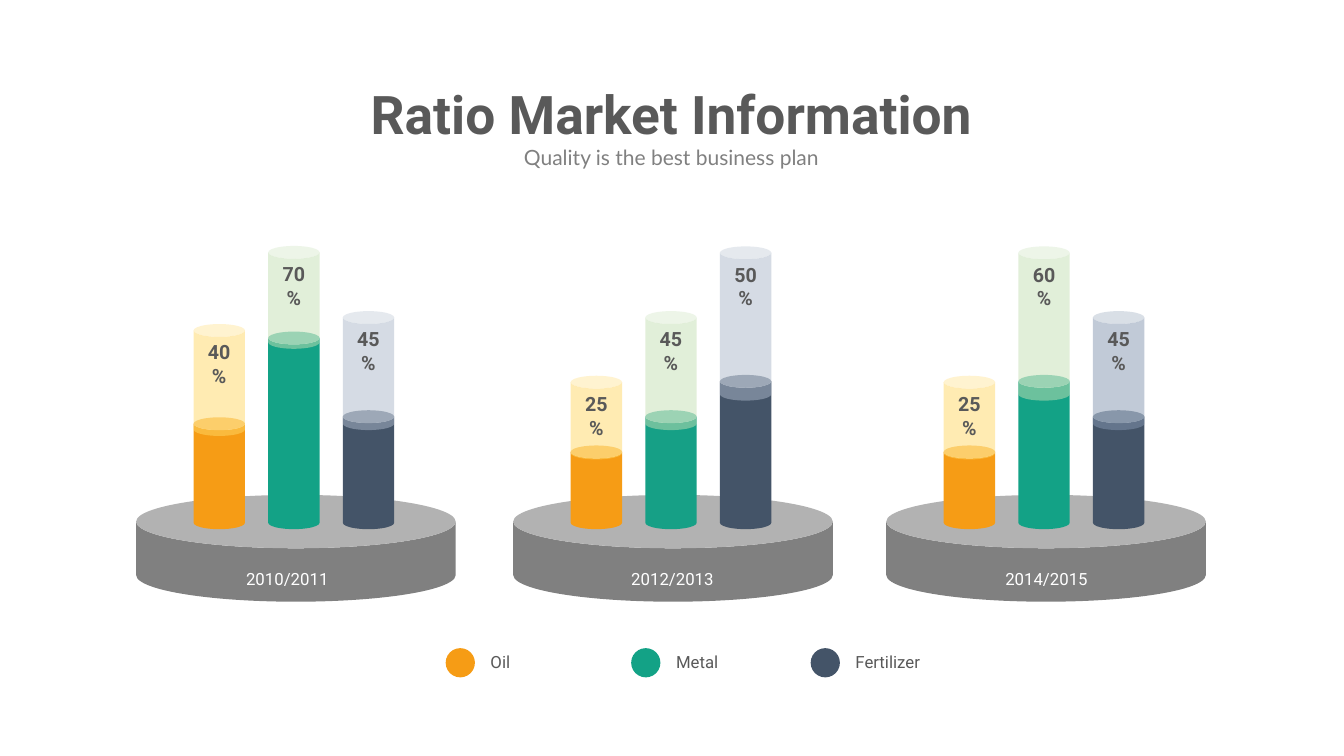
import dataclasses

import lxml.etree
import pptx
import pptx.dml.color
import pptx.enum.shapes
import pptx.enum.text
import pptx.oxml.ns
import pptx.util

SHAPE = pptx.enum.shapes.MSO_SHAPE
ALIGN = pptx.enum.text.PP_ALIGN
ANCHOR = pptx.enum.text.MSO_ANCHOR

COLUMNS, ROWS = 133.3, 75  # grid cells of a tenth of an inch
CELL = pptx.util.Inches(0.1)


@dataclasses.dataclass(frozen=True)
class Theme:
    heading_font: str = "Roboto"
    subtitle_font: str = "Lato"
    title_size: int = 38
    subtitle_size: int = 15
    percent_size: int = 14
    label_size: int = 12
    text: str = "595959"
    muted: str = "808080"
    white: str = "FFFFFF"
    oil: str = "F69C15"
    metal: str = "13A286"
    metal_variant: str = "16A086"
    fertilizer: str = "445468"
    oil_glass: str = "FFD966"
    metal_glass: str = "C5E0B4"
    fertilizer_glass: str = "ADB9CA"
    fertilizer_glass_dark: str = "8497B0"
    glass_opacity: int = 50


THEME = Theme()


@dataclasses.dataclass(frozen=True)
class Box:
    left: float
    top: float
    width: float
    height: float

    def inner(self, left, top, width, height):
        """Box placed relative to this box's top left corner."""
        return Box(self.left + left, self.top + top, width, height)

    def lengths(self):
        return [round(cells * CELL) for cells in (self.left, self.top, self.width, self.height)]


@dataclasses.dataclass(frozen=True)
class Pillar:
    percent: str
    solid_height: float
    glass_height: float
    color: str
    glass_color: str


@dataclasses.dataclass(frozen=True)
class Market:
    years: str
    left: float
    label_left: float
    pillars: tuple


def oil(percent, solid, glass):
    return Pillar(percent, solid, glass, THEME.oil, THEME.oil_glass)


def metal(percent, solid, glass, color=THEME.metal):
    return Pillar(percent, solid, glass, color, THEME.metal_glass)


def fertilizer(percent, solid, glass, glass_color=THEME.fertilizer_glass):
    return Pillar(percent, solid, glass, THEME.fertilizer, glass_color)


MARKETS = (
    Market("2010/2011", 13.5, 5.7, (
        oil("40%", 11.1, 11.1), metal("70%", 19.6, 10.2), fertilizer("45%", 11.8, 11.8))),
    Market("2012/2013", 50.9, 6.5, (
        oil("25%", 8.3, 8.3), metal("45%", 11.8, 11.8, THEME.metal_variant),
        fertilizer("50%", 15.3, 15.3))),
    Market("2014/2015", 87.9, 6.6, (
        oil("25%", 8.3, 8.3), metal("60%", 15.3, 15.3),
        fertilizer("45%", 11.8, 11.8, THEME.fertilizer_glass_dark))),
)
LEGEND = (
    ("Oil", 0, THEME.oil),
    ("Metal", 18.4, THEME.metal),
    ("Fertilizer", 36.2, THEME.fertilizer),
)


def write_text(shape, text, size, color=THEME.text, font=THEME.heading_font, bold=False,
               align=ALIGN.CENTER, anchor=ANCHOR.TOP, line_spacing=1.0, margins=(0.1, 0.05)):
    """Fill a shape with one paragraph; margins are horizontal and vertical inches."""
    frame = shape.text_frame
    frame.word_wrap = True
    frame.auto_size = pptx.enum.text.MSO_AUTO_SIZE.NONE
    frame.vertical_anchor = anchor
    frame.margin_left = frame.margin_right = pptx.util.Inches(margins[0])
    frame.margin_top = frame.margin_bottom = pptx.util.Inches(margins[1])
    paragraph = frame.paragraphs[0]
    paragraph.alignment = align
    paragraph.line_spacing = line_spacing
    paragraph.space_before = pptx.util.Pt(0)
    run = paragraph.add_run()
    run.text = text
    run.font.name = font
    run.font.size = pptx.util.Pt(size)
    run.font.bold = bold
    run.font.color.rgb = pptx.dml.color.RGBColor.from_string(color)


def add_text(slide, box, text, size, **text_format):
    write_text(slide.shapes.add_textbox(*box.lengths()), text, size, **text_format)


def add_filled(slide, kind, box, color, opacity=100):
    shape = slide.shapes.add_shape(kind, *box.lengths())
    shape.shadow.inherit = False
    shape.line.fill.background()
    shape.fill.solid()
    shape.fill.fore_color.rgb = pptx.dml.color.RGBColor.from_string(color)
    if opacity < 100:
        qualified = pptx.oxml.ns.qn
        color_element = shape._element.spPr.find(".//" + qualified("a:srgbClr"))
        alpha = lxml.etree.SubElement(color_element, qualified("a:alpha"))
        alpha.set("val", str(opacity * 1000))
    return shape


def add_heading(slide, box):
    title, subtitle = slide.placeholders
    title.left, title.top, title.width, title.height = box.inner(0, 0, box.width, 8.2).lengths()
    write_text(title, "Ratio Market Information", THEME.title_size, bold=True,
               anchor=ANCHOR.MIDDLE, line_spacing=0.9)
    subtitle_box = box.inner(10, 6.1, box.width - 20, 3.9)
    subtitle.left, subtitle.top, subtitle.width, subtitle.height = subtitle_box.lengths()
    write_text(subtitle, "Quality is the best business plan", THEME.subtitle_size,
               color=THEME.muted, font=THEME.subtitle_font, margins=(0.13, 0.07))


def add_pillar(slide, foot, pillar):
    """Stand a pillar on the foot box; its glass part sinks a sixth into the solid part."""
    solid = foot.inner(0, -pillar.solid_height, foot.width, pillar.solid_height)
    glass = solid.inner(0, -pillar.glass_height * 5 / 6, foot.width, pillar.glass_height)
    add_filled(slide, SHAPE.CAN, solid, pillar.color)
    add_filled(slide, SHAPE.CAN, glass, pillar.glass_color, THEME.glass_opacity)
    add_text(slide, glass.inner(0.75, 1.2, 3.6, 3.3), pillar.percent, THEME.percent_size,
             bold=True, margins=(0.04, 0.04))


def add_market(slide, box, market):
    base = add_filled(slide, SHAPE.CAN, box, THEME.muted)
    base.adjustments[0] = 0.5
    add_text(slide, box.inner(market.label_left, 5.8, 18.6, 4), market.years, THEME.label_size,
             color=THEME.white, anchor=ANCHOR.MIDDLE, line_spacing=1.5)
    for index, pillar in enumerate(market.pillars):
        add_pillar(slide, box.inner(5.7 + 7.4 * index, 3.4, 5.1, 0), pillar)


def add_legend(slide, box):
    for name, offset, color in LEGEND:
        add_filled(slide, SHAPE.OVAL, box.inner(offset, 0, box.height, box.height), color)
        add_text(slide, box.inner(offset + 4.45, 0.4, 17.3, 2), name, THEME.label_size,
                 align=ALIGN.LEFT, margins=(0, 0))


def main():
    presentation = pptx.Presentation()
    presentation.slide_width = round(COLUMNS * CELL)
    presentation.slide_height = ROWS * CELL
    slide = presentation.slides.add_slide(presentation.slide_layouts[0])
    add_heading(slide, Box(16.6, 7.5, 100, 10))
    for market in MARKETS:
        add_market(slide, Box(market.left, 49.1, 31.7, 10.6), market)
    add_legend(slide, Box(44.2, 64.3, 58, 2.9))
    presentation.save("out.pptx")


if __name__ == "__main__":
    main()
